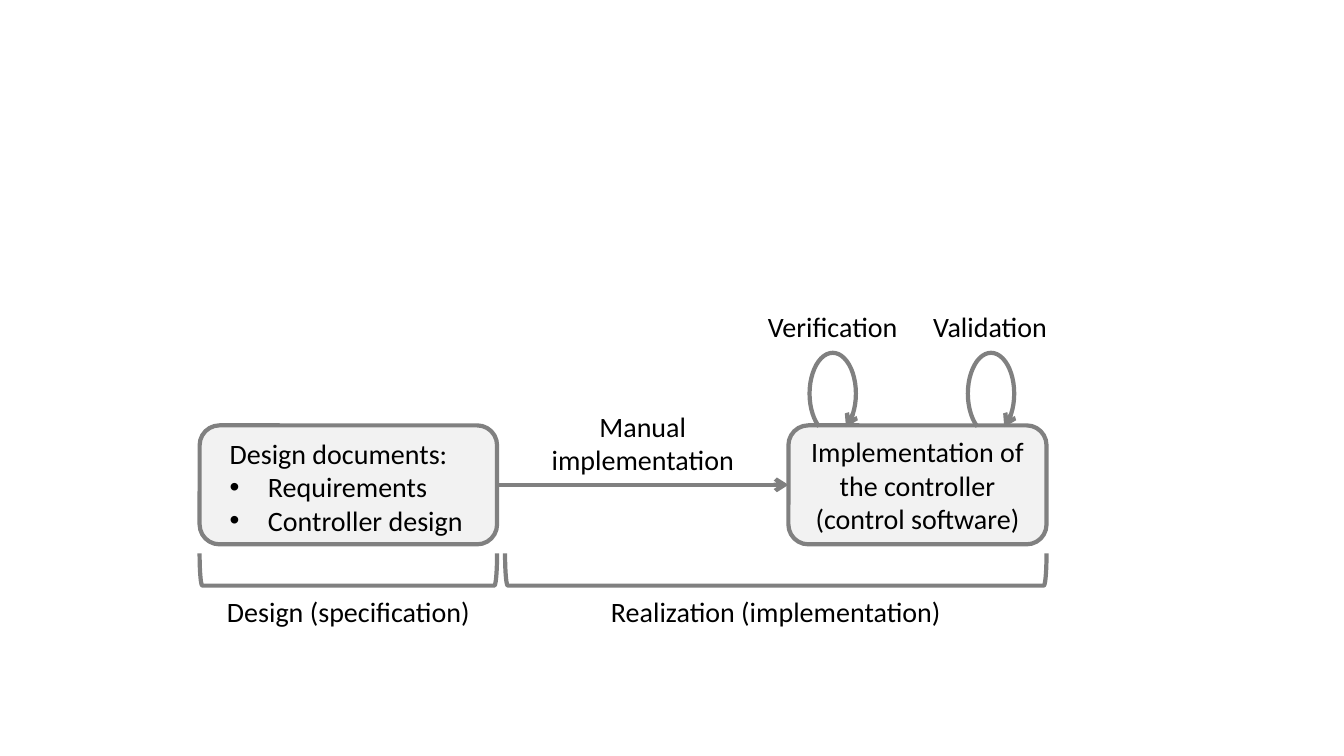
from dataclasses import dataclass
from pptx import Presentation
from pptx.dml.color import RGBColor as Rgb
from pptx.enum.shapes import MSO_CONNECTOR as Link, MSO_SHAPE as Kind
from pptx.enum.text import MSO_ANCHOR as Anchor, PP_ALIGN as Align
from pptx.oxml.ns import qn
from pptx.util import Inches, Pt
from lxml.etree import SubElement as Sub


@dataclass(frozen=True)
class Theme:
    """Colours, font and sizes of the slide."""
    font: str = "Calibri"
    size: int = 20
    ink: str = "000000"
    edge: str = "808080"
    fill: str = "F2F2F2"
    rule: int = 3


class Sketch:
    """Draws diagram elements on one slide in one style."""

    def __init__(self, slide, theme):
        """Keep the slide and the theme."""
        self.shapes, self.theme = slide.shapes, theme

    def stroke(self, item, arrow=False):
        """Give an item its outline, with an arrowhead if asked."""
        item.line.color.rgb = Rgb.from_string(self.theme.edge)
        item.line.width = Pt(self.theme.rule)
        if arrow:
            Sub(item.line._get_or_add_ln(), qn("a:tailEnd"), type="arrow")

    def form(self, kind, area, arrow=False):
        """Add an outlined preset shape without fill."""
        item = self.shapes.add_shape(kind, *map(Inches, area))
        item.shadow.inherit = False
        item.fill.background()
        self.stroke(item, arrow)
        return item

    def letter(self, frame, lines, align=Align.CENTER, **look):
        """Fill a text frame; lines that start with a bullet get a list indent."""
        for name, value in {"word_wrap": True, **look}.items():
            setattr(frame, name, value)
        for n, line in enumerate(lines):
            para = frame.add_paragraph() if n else frame.paragraphs[0]
            para.alignment = align
            if line.startswith("•"):
                props = para._p.get_or_add_pPr()
                props.set("marL", str(Inches(0.38)))
                props.set("indent", str(-Inches(0.38)))
                Sub(props, qn("a:buFont"), typeface="Arial")
                Sub(props, qn("a:buChar"), char="•")
            run = para.add_run()
            run.text = line.lstrip("•")
            font = {"name": self.theme.font, "size": Pt(self.theme.size)}
            for name, value in font.items():
                setattr(run.font, name, value)
            run.font.color.rgb = Rgb.from_string(self.theme.ink)

    def box(self, area, lines, pad=0, **look):
        """Add a filled rounded box with text."""
        item = self.form(Kind.ROUNDED_RECTANGLE, area)
        item.fill.solid()
        item.fill.fore_color.rgb = Rgb.from_string(self.theme.fill)
        self.letter(item.text_frame, lines, margin_left=Inches(pad),
                    margin_right=0, **look)

    def label(self, area, text, wrap=True):
        """Add a centred text label."""
        item = self.shapes.add_textbox(*map(Inches, area))
        self.letter(item.text_frame, [text], word_wrap=wrap)

    def arrow(self, start, end):
        """Add a straight arrow between two points."""
        item = self.shapes.add_connector(
            Link.STRAIGHT, *map(Inches, (*start, *end)))
        self.stroke(item, True)
        Sub(item._element.spPr, qn("a:effectLst"))

    def brace(self, left, top, wide, high, text):
        """Add a bracket that opens upward, with its label below."""
        area = (left + (wide - high) / 2, top + (high - wide) / 2, high, wide)
        self.form(Kind.LEFT_BRACKET, area).rotation = 270
        self.label((left, top + 0.36, wide, 0.44), text)

    def loop(self, left, top, text, start, wide):
        """Add a self-loop arrow with its label above."""
        item = self.form(Kind.ARC, (left, top, 0.46, 0.81), True)
        item.adjustments[0], item.adjustments[1] = 67.505, 41.031
        self.label((start, top - 0.48, wide, 0.44), text, False)


def main():
    """Build the slide and save it."""
    deck = Presentation()
    deck.slide_width, deck.slide_height = Inches(13.33), Inches(7.5)
    slide = deck.slides.add_slide(deck.slide_layouts[6])
    art = Sketch(slide, Theme())

    top, high = 4.22, 1.18
    docs, docs_w = 1.98, 2.95
    code, code_w = 7.82, 2.56
    docs_end, code_end = docs + docs_w, code + code_w
    mid = top + high / 2

    art.box((code, top, code_w, high),
            ["Implementation of the controller (control software)"],
            vertical_anchor=Anchor.MIDDLE)
    art.box((docs, top, docs_w, high),
            ["Design documents:", "•Requirements", "•Controller design"],
            pad=0.24, align=Align.LEFT, vertical_anchor=Anchor.TOP)
    art.arrow((docs_end, mid), (code, mid))
    art.label((docs_end, 4.01, code - docs_end, 0.77), "Manual implementation")

    real = docs_end + 0.08
    for left, end, text in ((docs, docs_end, "Design (specification)"),
                            (real, code_end, "Realization (implementation)")):
        art.brace(left, 5.49, end - left, 0.32, text)
    for left, text, start, wide in ((8.03, "Verification", 7.51, 1.5),
                                    (9.6, "Validation", 9.15, 1.34)):
        art.loop(left, 3.5, text, start, wide)

    deck.save("out.pptx")


main()
